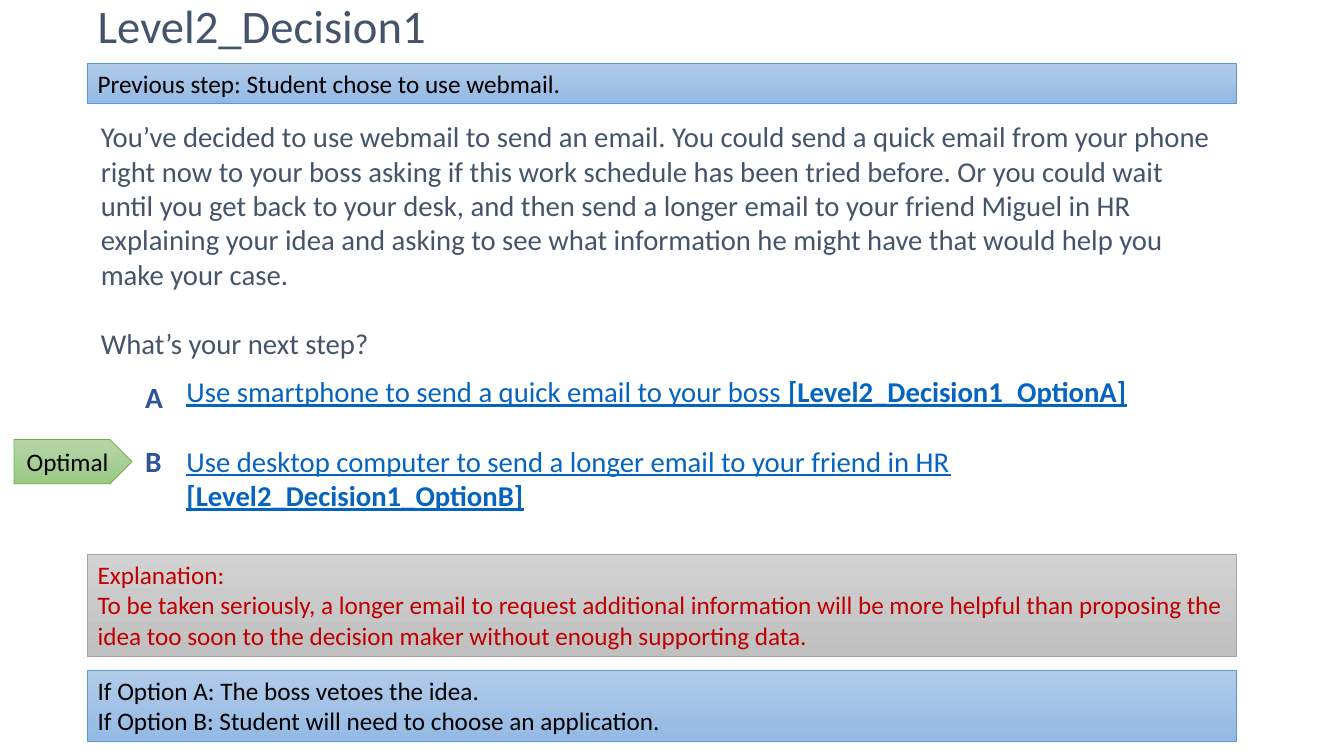
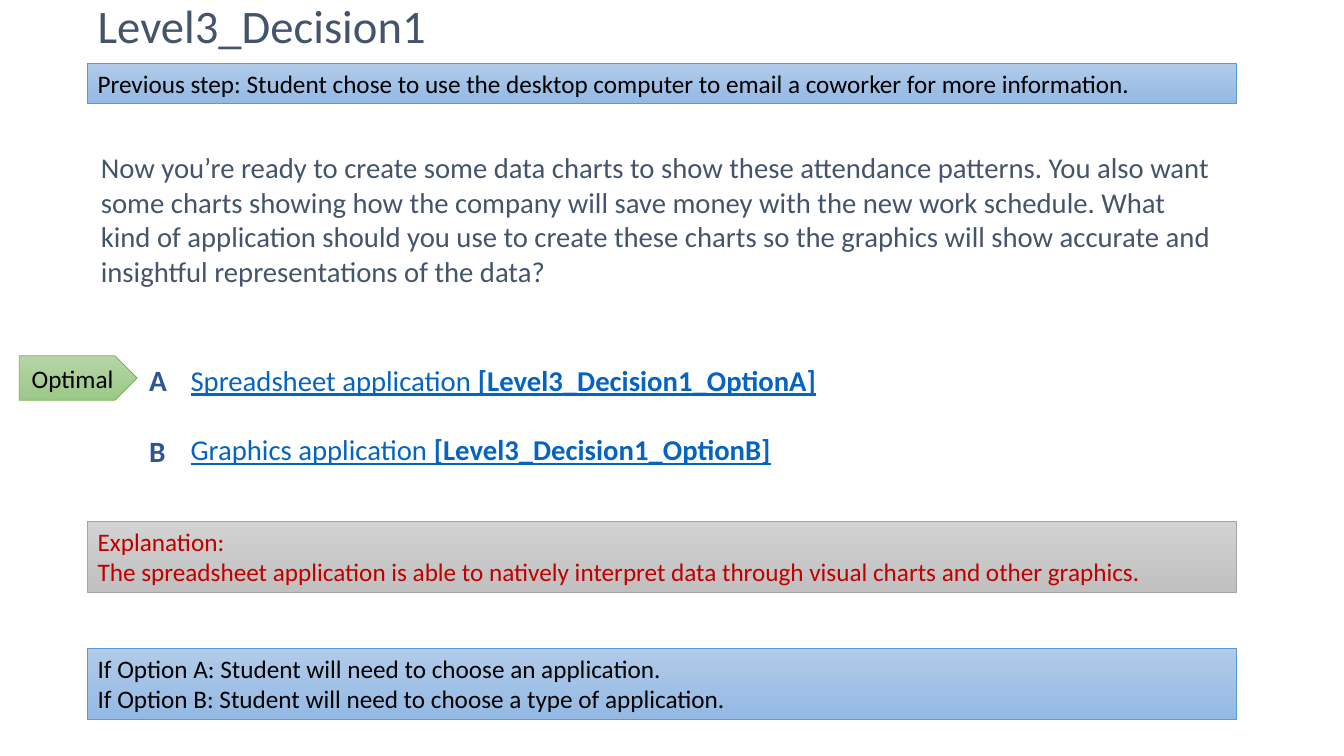
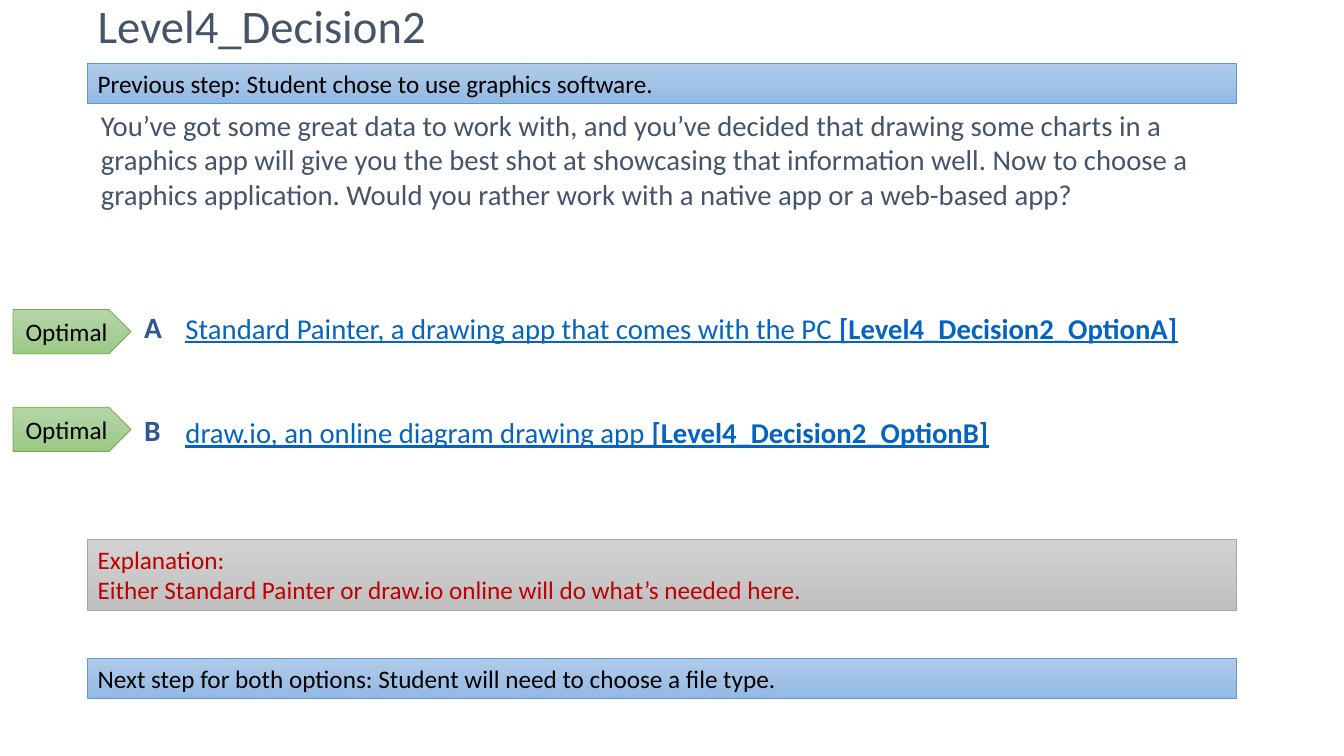
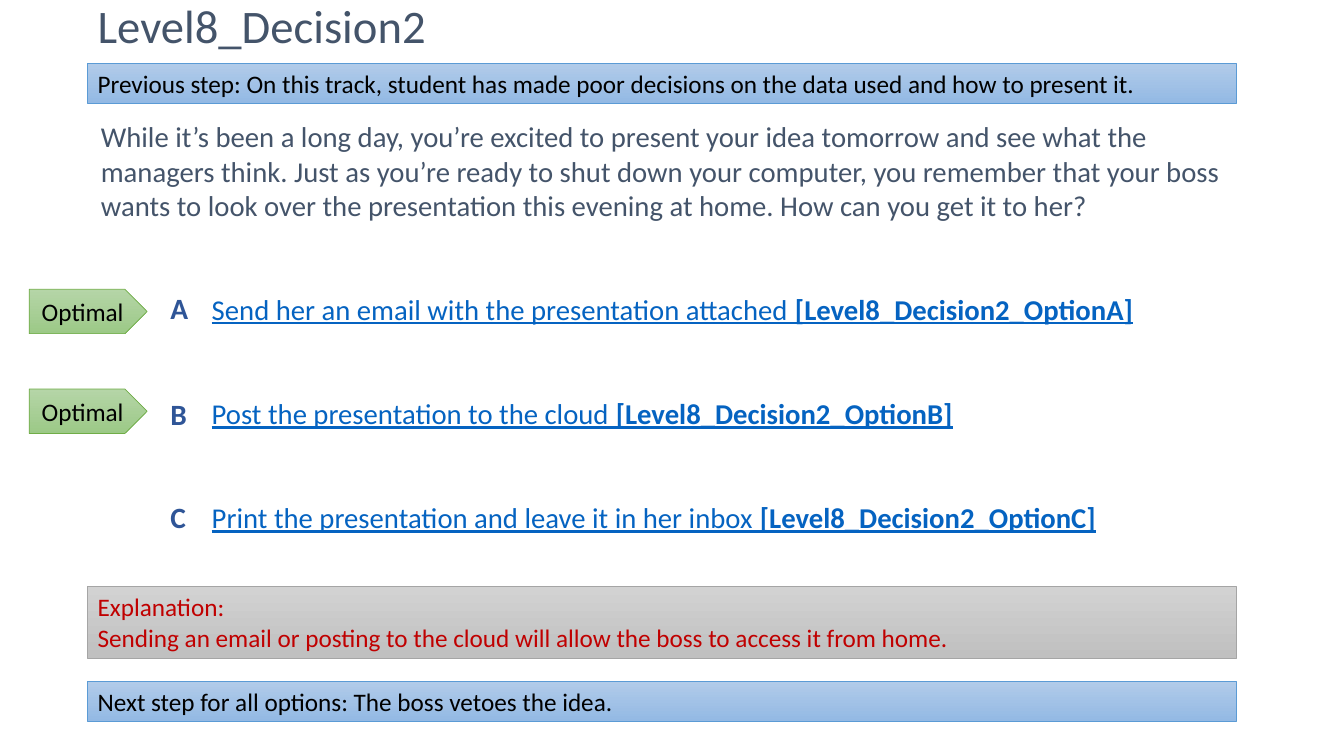
from dataclasses import dataclass

from pptx import Presentation
from pptx.dml.color import RGBColor
from pptx.enum.shapes import MSO_SHAPE
from pptx.enum.text import MSO_ANCHOR, MSO_AUTO_SIZE, PP_ALIGN
from pptx.util import Inches, Pt

RECT = MSO_SHAPE.RECTANGLE
PENTAGON = MSO_SHAPE.PENTAGON
TOP = MSO_ANCHOR.TOP
MIDDLE = MSO_ANCHOR.MIDDLE
LEFT = PP_ALIGN.LEFT
CENTER = PP_ALIGN.CENTER
FIT = MSO_AUTO_SIZE.SHAPE_TO_FIT_TEXT


@dataclass(frozen=True)
class Theme:
    font: str = "Calibri"
    title_size: float = 33.3
    body_size: float = 20.5
    letter_size: float = 21
    band_size: float = 18
    line_height: float = 25
    ink: str = "44546A"
    link: str = "0563C1"
    letter: str = "2F5597"
    black: str = "000000"
    red: str = "C00000"
    blue: tuple = ("B1CBE9", "93B9E4", "5B9BD5")
    gray: tuple = ("D2D2D2", "C0C0C0", "A5A5A5")
    green: tuple = ("B5D5A7", "9CC987", "70AD47")


THEME = Theme()
MARGIN = 0.87
WIDTH = 11.39
LETTER_OFFSET = 0.41
WIDE_INSETS = (0.13, 0.07)
NORMAL_INSETS = (0.1, 0.05)


def add_run(p, text, size=THEME.band_size, color=THEME.black, bold=False, underline=False):
    r = p.add_run()
    r.text = text
    r.font.name = THEME.font
    r.font.size = Pt(size)
    r.font.color.rgb = RGBColor.from_string(color)
    r.font.bold = bold
    r.font.underline = underline


class Deck:
    def __init__(self, theme):
        self.theme = theme
        self.prs = Presentation()
        self.prs.slide_width = Inches(13.33)
        self.prs.slide_height = Inches(7.5)
        self.slide = None

    def new_slide(self):
        self.slide = self.prs.slides.add_slide(self.prs.slide_layouts[6])

    def frame(self, sp, paragraphs, insets=NORMAL_INSETS, anchor=TOP, align=LEFT, gap=0, **style):
        tf = sp.text_frame
        tf.word_wrap = True
        tf.vertical_anchor = anchor
        tf.margin_left = tf.margin_right = Inches(insets[0])
        tf.margin_top = tf.margin_bottom = Inches(insets[1])
        for i, runs in enumerate(paragraphs):
            p = tf.add_paragraph() if i else tf.paragraphs[0]
            p.alignment = align
            if i and gap:
                p.space_before = Pt(gap * self.theme.line_height)
            for j, text in enumerate(runs):
                add_run(p, text, **{**style, "bold": style.get("bold", j > 0)})
        return tf

    def text(self, box, paragraphs, **style):
        sp = self.slide.shapes.add_textbox(*map(Inches, box))
        return self.frame(sp, paragraphs, **style)

    def shape(self, kind, box, colors, paragraphs, **style):
        sp = self.slide.shapes.add_shape(kind, *map(Inches, box))
        sp.shadow.inherit = False
        sp.fill.gradient()
        sp.fill.gradient_angle = 270
        for stop, color in zip(sp.fill.gradient_stops, colors):
            stop.color.rgb = RGBColor.from_string(color)
        sp.line.color.rgb = RGBColor.from_string(colors[-1])
        sp.line.width = Pt(0.5)
        return self.frame(sp, paragraphs, **style)

    def title(self, text):
        tf = self.text((MARGIN, 0.01, WIDTH, 0.55), [[text]], anchor=MIDDLE,
                       size=self.theme.title_size, color=self.theme.ink)
        tf.paragraphs[0].line_spacing = 0.9

    def body(self, top, height, paragraphs):
        self.text((MARGIN, top, WIDTH, height), [[text] for text in paragraphs],
                  insets=WIDE_INSETS, gap=1, size=self.theme.body_size, color=self.theme.ink)

    def band(self, top, paragraphs, colors, color, lines=None):
        height = round(0.1 + 0.303 * (lines or len(paragraphs)), 2)
        tf = self.shape(RECT, (MARGIN, top, WIDTH, height), colors,
                        [[text] for text in paragraphs], color=color)
        tf.auto_size = FIT

    def step(self, top, *paragraphs):
        self.band(top, paragraphs, self.theme.blue, self.theme.black)

    def explanation(self, top, text, lines=2):
        self.band(top, ["Explanation:", text], self.theme.gray, self.theme.red, lines)

    def options(self, name, box, gap, choices):
        paragraphs = []
        for letter, (top, text) in zip("ABC", choices):
            paragraphs.append([text + " ", f"[{name}_Option{letter}]"])
            self.text((box[0] - LETTER_OFFSET, top, 0.62, 0.44), [[letter]], insets=WIDE_INSETS,
                      size=self.theme.letter_size, color=self.theme.letter, bold=True)
        self.text(box, paragraphs, insets=WIDE_INSETS, gap=gap,
                  size=self.theme.body_size, color=self.theme.link, underline=True)

    def optimal(self, left, *tops):
        for top in tops:
            self.shape(PENTAGON, (left, top, 1.17, 0.44), self.theme.green, [["Optimal"]],
                       anchor=MIDDLE, align=CENTER)

    def decision(self, name, previous, body, options, optimal, explanation, following):
        self.new_slide()
        self.title(name)
        self.body(*body)
        self.options(name, *options)
        self.optimal(*optimal)
        self.step(0.63, "Previous step: " + previous)
        self.explanation(*explanation)
        self.step(*following)


DECISIONS = [
    dict(
        name="Level2_Decision1",
        previous="Student chose to use webmail.",
        body=(1.11, 3.64, [
            "You’ve decided to use webmail to send an email. You could send a quick email from your "
            "phone right now to your boss asking if this work schedule has been tried before. Or you "
            "could wait until you get back to your desk, and then send a longer email to your friend "
            "Miguel in HR explaining your idea and asking to see what information he might have that "
            "would help you make your case.",
            "What’s your next step?"]),
        options=((1.72, 3.64, 10.54, 1.79), 1, [
            (3.69, "Use smartphone to send a quick email to your boss"),
            (4.33, "Use desktop computer to send a longer email to your friend in HR")]),
        optimal=(0.14, 4.36),
        explanation=(5.5, "To be taken seriously, a longer email to request additional information "
                     "will be more helpful than proposing the idea too soon to the decision maker "
                     "without enough supporting data.", 3),
        following=(6.65, "If Option A: The boss vetoes the idea.",
                   "If Option B: Student will need to choose an application."),
    ),
    dict(
        name="Level3_Decision1",
        previous="Student chose to use the desktop computer to email a coworker for more information.",
        body=(1.42, 4.86, [
            "Now you’re ready to create some data charts to show these attendance patterns. You also "
            "want some charts showing how the company will save money with the new work schedule. "
            "What kind of application should you use to create these charts so the graphics will "
            "show accurate and insightful representations of the data?"]),
        options=((1.76, 3.53, 10.49, 1.96), 1, [
            (3.52, "Spreadsheet application"),
            (4.23, "Graphics application")]),
        optimal=(0.19, 3.53),
        explanation=(5.17, "The spreadsheet application is able to natively interpret data through "
                     "visual charts and other graphics."),
        following=(6.43, "If Option A: Student will need to choose an application.",
                   "If Option B: Student will need to choose a type of application."),
    ),
    dict(
        name="Level4_Decision2",
        previous="Student chose to use graphics software.",
        body=(1, 4.03, [
            "You’ve got some great data to work with, and you’ve decided that drawing some charts in "
            "a graphics app will give you the best shot at showcasing that information well. Now to "
            "choose a graphics application. Would you rather work with a native app or a web-based "
            "app?"]),
        options=((1.71, 3.01, 10.39, 1.96), 2, [
            (3, "Standard Painter, a drawing app that comes with the PC"),
            (4.02, "draw.io, an online diagram drawing app")]),
        optimal=(0.13, 3.07, 4.04),
        explanation=(5.35, "Either Standard Painter or draw.io online will do what’s needed here."),
        following=(6.53, "Next step for both options: Student will need to choose a file type."),
    ),
    dict(
        name="Level8_Decision2",
        previous="On this track, student has made poor decisions on the data used and how to present it.",
        body=(1.11, 3.92, [
            "While it’s been a long day, you’re excited to present your idea tomorrow and see what "
            "the managers think. Just as you’re ready to shut down your computer, you remember that "
            "your boss wants to look over the presentation this evening at home. How can you get it "
            "to her?"]),
        options=((1.97, 2.82, 10.28, 2.98), 2, [
            (2.81, "Send her an email with the presentation attached"),
            (3.86, "Post the presentation to the cloud"),
            (4.88, "Print the presentation and leave it in her inbox")]),
        optimal=(0.29, 2.87, 3.86),
        explanation=(5.82, "Sending an email or posting to the cloud will allow the boss to access "
                     "it from home."),
        following=(6.76, "Next step for all options: The boss vetoes the idea."),
    ),
]


def main():
    deck = Deck(THEME)
    for decision in DECISIONS:
        deck.decision(**decision)
    deck.prs.save("out.pptx")


if __name__ == "__main__":
    main()
